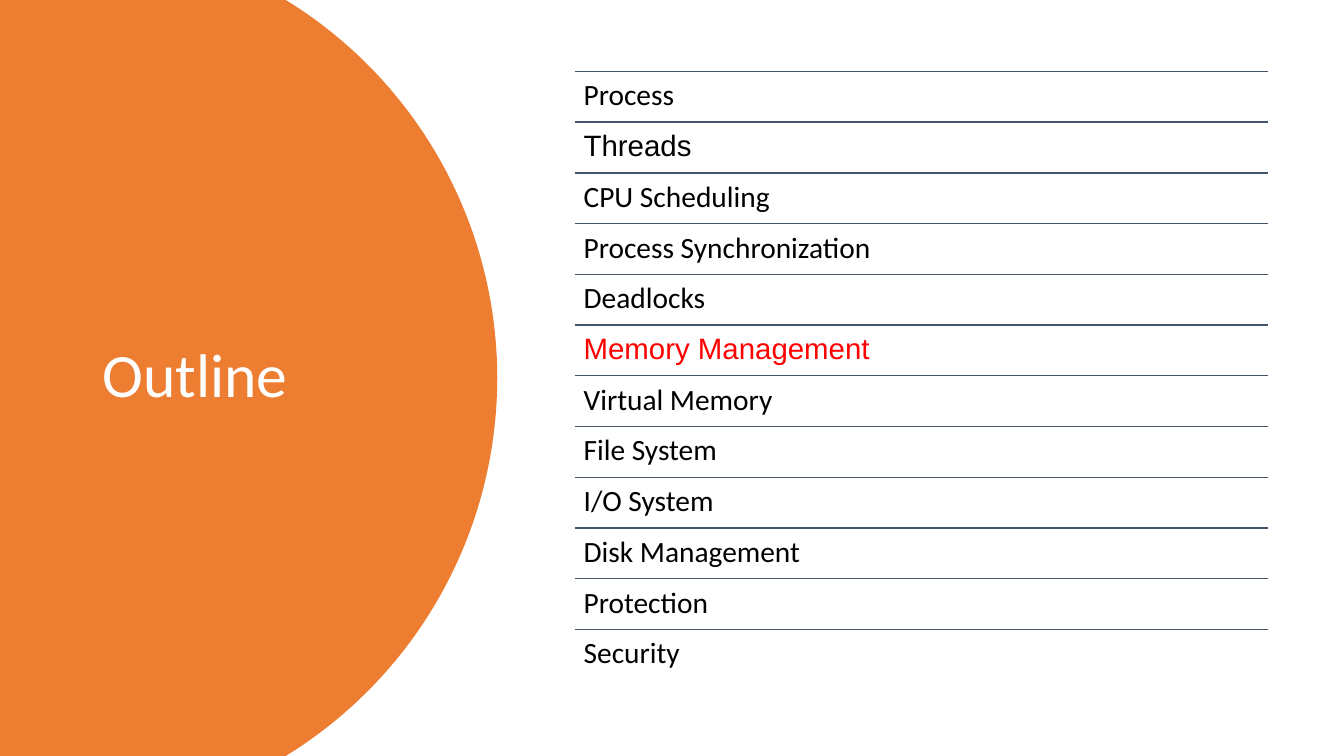
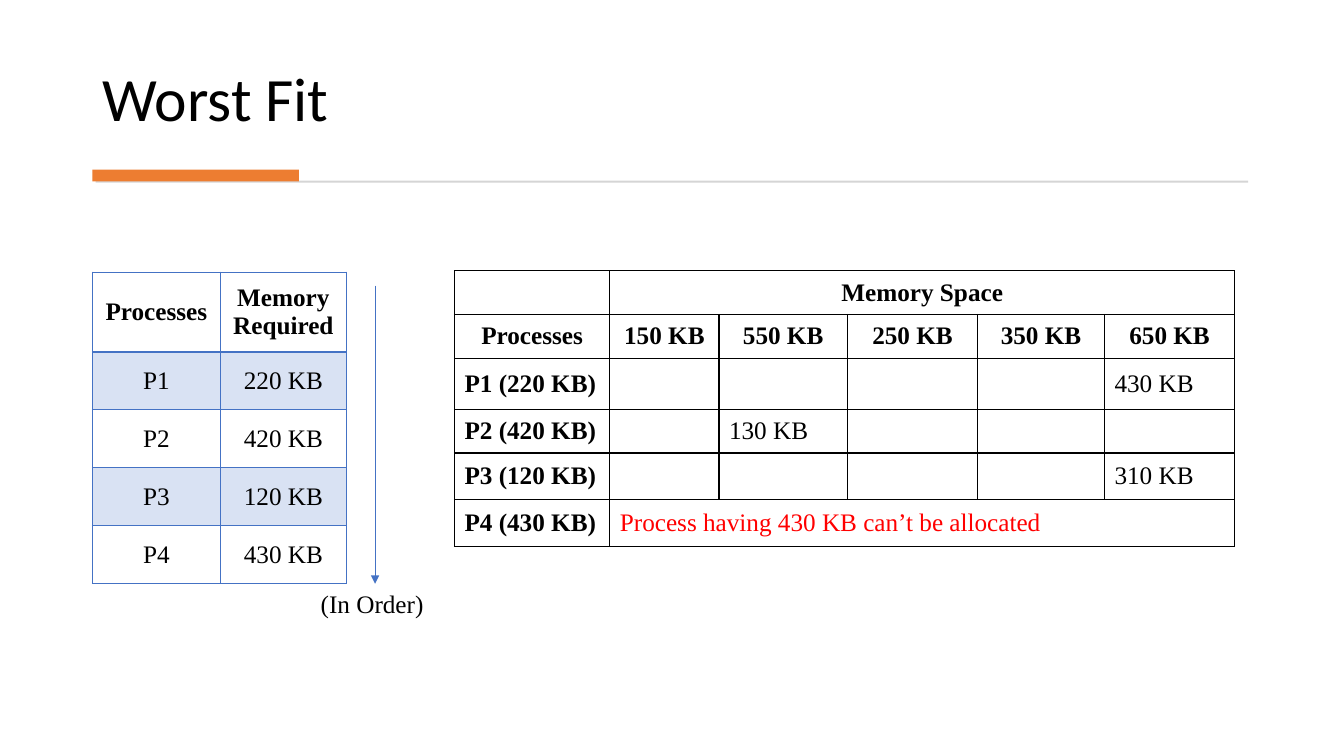
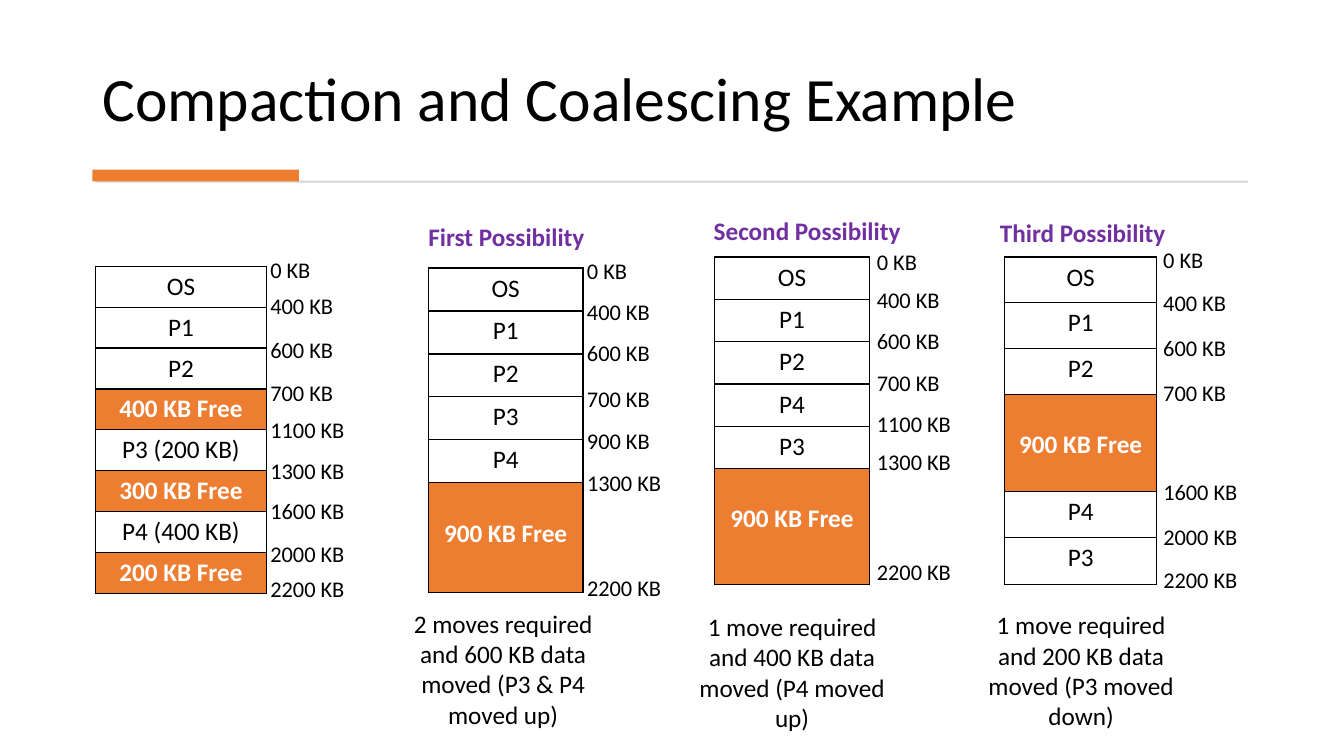
import dataclasses
import math

import lxml.etree
import pptx
import pptx.dml.color
import pptx.enum.shapes
import pptx.enum.text
import pptx.oxml.ns
import pptx.util

ALIGN = pptx.enum.text.PP_ALIGN
ANCHOR = pptx.enum.text.MSO_ANCHOR
AUTO_SIZE = pptx.enum.text.MSO_AUTO_SIZE
SHAPE = pptx.enum.shapes.MSO_SHAPE
CONNECTOR = pptx.enum.shapes.MSO_CONNECTOR

# The slide is a grid of square cells
WIDTH, HEIGHT = pptx.util.Inches(13.33), pptx.util.Inches(7.5)
COLUMNS, ROWS = 160, 90
TITLE_LAYOUT = 5


@dataclasses.dataclass(frozen=True)
class Theme:
    accent: str = "ED7D31"
    blue: str = "4472C4"
    slate: str = "44546A"
    purple: str = "7030A0"
    red: str = "FF0000"
    grey: str = "D5D5D5"
    black: str = "000000"
    white: str = "FFFFFF"
    sans: str = "Calibri"
    plain: str = "Arial"
    serif: str = "Times New Roman"
    title_size: int = 44
    list_size: int = 21
    body_size: int = 18
    label_size: int = 16
    band_opacity: int = 20


THEME = Theme()


# Grid and format helpers
def across(columns):
    return pptx.util.Emu(round(WIDTH * columns / COLUMNS))


def down(rows):
    return pptx.util.Emu(round(HEIGHT * rows / ROWS))


def place(left, top, width, height):
    return across(left), down(top), across(width), down(height)


def colour(value):
    return pptx.dml.color.RGBColor.from_string(value)


def apply(target, formats):
    for name, value in formats.items():
        setattr(target, name, value)


def look(size=THEME.body_size, name=THEME.sans, ink=THEME.black, bold=False):
    return {"size": pptx.util.Pt(size), "name": name, "bold": bold, "ink": ink}


def write(frame, text, style, **formats):
    para = frame.paragraphs[0]
    apply(para, formats)
    span = para.add_run()
    span.text = text
    apply(span.font, {key: value for key, value in style.items() if key != "ink"})
    span.font.color.rgb = colour(style["ink"])


def child(parent, tag, **attributes):
    return lxml.etree.SubElement(parent, pptx.oxml.ns.qn(tag), attributes)


# Text, shapes and lines
def add_text(page, at, text, style, inset=None, **formats):
    box = page.shapes.add_textbox(*place(*at))
    apply(box.text_frame, {"word_wrap": True, "auto_size": AUTO_SIZE.NONE})
    if inset is not None:
        sides = ("left", "top", "right", "bottom")
        apply(box.text_frame, {f"margin_{side}": inset for side in sides})
    write(box.text_frame, text, style, **formats)
    return box


def paint(shape, fill):
    shape.shadow.inherit = False
    shape.fill.solid()
    shape.fill.fore_color.rgb = colour(fill)
    shape.line.fill.background()


def add_bar(page, at, fill):
    paint(page.shapes.add_shape(SHAPE.RECTANGLE, *place(*at)), fill)


def add_line(page, start, end, ink, weight):
    line = page.shapes.add_connector(
        CONNECTOR.STRAIGHT, across(start[0]), down(start[1]), across(end[0]), down(end[1]))
    line.line.color.rgb = colour(ink)
    line.line.width = pptx.util.Pt(weight)
    child(line._element.spPr, "a:effectLst")
    return line


def add_titled_page(deck, title, at=(11, 3.4, 138, 13.3), ink=THEME.black, anchor=ANCHOR.BOTTOM):
    page = deck.slides.add_slide(deck.slide_layouts[TITLE_LAYOUT])
    box = page.shapes.title
    apply(box, dict(zip(("left", "top", "width", "height"), place(*at))))
    apply(box.text_frame, {"word_wrap": True, "auto_size": AUTO_SIZE.NONE,
                           "vertical_anchor": anchor})
    write(box.text_frame, title, look(THEME.title_size, ink=ink),
          alignment=ALIGN.LEFT, line_spacing=0.9)
    return page


def add_ruled_page(deck, title):
    page = add_titled_page(deck, title)
    add_bar(page, (11.4, 21.5, 137.2, 0.24), THEME.grey)
    add_bar(page, (11, 20.2, 24.6, 1.4), THEME.accent)
    return page


# Tables
def add_grid(page, left, top, widths, heights):
    at = place(left, top, sum(widths), sum(heights))
    table = page.shapes.add_table(len(heights), len(widths), *at).table
    apply(table, {"first_row": False, "horz_banding": False})
    for column, width in zip(table.columns, widths):
        column.width = across(width)
    for row, height in zip(table.rows, heights):
        row.height = down(height)
    return table


def draw_borders(cell, ink, weights):
    properties = cell._tc.get_or_add_tcPr()
    for side in "LRTB":
        weight = pptx.util.Pt(weights.get(side, 1))
        edge = child(properties, f"a:ln{side}", w=str(weight))
        child(child(edge, "a:solidFill"), "a:srgbClr", val=ink)


def fill_cell(cell, fill=None, opacity=100):
    if fill is None:
        cell.fill.background()
        return
    cell.fill.solid()
    cell.fill.fore_color.rgb = colour(fill)
    if opacity < 100:
        solid = cell._tc.tcPr.find(pptx.oxml.ns.qn("a:solidFill"))
        child(solid[0], "a:alpha", val=str(opacity * 1000))


def add_process_table(page):
    entries = [("Processes", "Memory Required"), ("P1", "220 KB"), ("P2", "420 KB"),
               ("P3", "120 KB"), ("P4", "430 KB")]
    table = add_grid(page, 11, 32.4, [15.24, 15], [9.5] + [6.9] * 4)
    header_rule = {0: {"B": 2}, 1: {"T": 2}}
    for row, line in enumerate(entries):
        for column, text in enumerate(line):
            cell = table.cell(row, column)
            draw_borders(cell, THEME.blue, header_rule.get(row, {}))
            fill_cell(cell, THEME.blue if row % 2 else None, THEME.band_opacity)
            cell.vertical_anchor = ANCHOR.MIDDLE
            write(cell.text_frame, text, look(name=THEME.serif, bold=row == 0),
                  alignment=ALIGN.CENTER)


def add_memory_table(page):
    entries = [
        ("", "Memory Space", "", "", "", ""),
        ("Processes", "150 KB", "550 KB", "250 KB", "350 KB", "650 KB"),
        ("P1 (220 KB)", "", "", "", "", "430 KB"),
        ("P2 (420 KB)", "", "130 KB", "", "", ""),
        ("P3 (120 KB)", "", "", "", "", "310 KB"),
        ("P4 (430 KB)", "Process having 430 KB can’t be allocated", "", "", "", ""),
    ]
    table = add_grid(page, 54.1, 32.25, [18.5, 13, 15.3, 15.5, 15.1, 15.5],
                     [5.2, 5.2, 6.1, 5.2, 5.55, 5.55])
    last = len(entries) - 1
    for row, line in enumerate(entries):
        for column, text in enumerate(line):
            cell = table.cell(row, column)
            draw_borders(cell, THEME.black, {})
            fill_cell(cell)
            cell.vertical_anchor = ANCHOR.MIDDLE
            if text:
                heading = row < 2
                ink = THEME.red if row == last and column else THEME.black
                write(cell.text_frame, text,
                      look(name=THEME.serif, ink=ink, bold=heading or column == 0),
                      alignment=ALIGN.CENTER if heading else ALIGN.LEFT)
    for row in (0, last):
        table.cell(row, 1).merge(table.cell(row, 5))


# Memory stacks: blocks, addresses, heading and caption
def add_stack(page, left, top, width, blocks, heights):
    table = add_grid(page, left, top, [width], heights)
    for row, (text, height) in enumerate(zip(blocks, heights)):
        cell = table.cell(row, 0)
        free = text.endswith("Free")
        draw_borders(cell, THEME.black, {})
        fill_cell(cell, THEME.accent if free else None)
        if height > 10:
            cell.margin_top = down(4.2)
        write(cell.text_frame, text,
              look(ink=THEME.white if free else THEME.black, bold=free),
              alignment=ALIGN.CENTER)


def add_addresses(page, left, marks):
    for address, top in marks.items():
        width = 12.1 if address >= 1000 else 10.3
        add_text(page, (left, top, width, 4.4), f"{address} KB", look(THEME.label_size))


def add_possibility(page, heading, heading_at, caption, caption_at):
    add_text(page, (*heading_at, 27.4, 4.8), heading,
             look(ink=THEME.purple, bold=True), alignment=ALIGN.CENTER)
    add_text(page, (*caption_at, 27.4, 15.7), caption, look(), alignment=ALIGN.CENTER)


# Slides
def add_outline(deck):
    page = add_titled_page(deck, "Outline", (11, 8.4, 38.8, 73.1), THEME.white, ANCHOR.MIDDLE)

    # Circle segment that meets the slide's top and bottom edges
    radius, tip, middle = 52.8, 59.2, ROWS / 2
    reach, steps = math.asin(middle / radius), 80
    angles = [reach * (2 * step / steps - 1) for step in range(steps + 1)]
    arc = [(across(tip - radius + radius * math.cos(angle)),
            down(middle + radius * math.sin(angle))) for angle in angles]
    builder = page.shapes.build_freeform(0, 0)
    builder.add_line_segments(arc + [(0, HEIGHT)], close=True)
    segment = builder.convert_to_shape()
    paint(segment, THEME.accent)
    page.shapes.title._element.addprevious(segment._element)

    topics = ["Process", "Threads", "CPU Scheduling", "Process Synchronization", "Deadlocks",
              "Memory Management", "Virtual Memory", "File System", "I/O System",
              "Disk Management", "Protection", "Security"]
    current = "Memory Management"
    left, top, width, pitch = 68.4, 8.5, 82.6, 6.04
    for index, topic in enumerate(topics):
        y = top + index * pitch
        add_line(page, (left, y), (left + width, y), THEME.slate, 1)
        style = look(THEME.list_size,
                     THEME.plain if topic in ("Threads", current) else THEME.sans,
                     THEME.red if topic == current else THEME.black)
        add_text(page, (left, y, width, pitch), topic, style, across(1.08), line_spacing=0.9)


def add_worst_fit(deck):
    page = add_ruled_page(deck, "Worst Fit")
    add_process_table(page)
    add_memory_table(page)
    order = add_text(page, (37, 69.5, 15.3, 4.8), "(In Order)", look(name=THEME.serif))
    arrow = add_line(page, (44.65, 34), (44.65, 69.5), THEME.blue, 0.5)
    arrow.end_connect(order, 0)
    child(arrow.line._get_or_add_ln(), "a:tailEnd", type="triangle")


def add_compaction(deck):
    page = add_ruled_page(deck, "Compaction and Coalescing Example")

    # Starting state
    add_stack(page, 11.4, 31.7, 20.3,
              ["OS", "P1", "P2", "400 KB Free", "P3 (200 KB)", "300 KB Free",
               "P4 (400 KB)", "200 KB Free"], [4.86] * 8)
    add_addresses(page, 31, {0: 29.9, 400: 34.2, 600: 39.4, 700: 44.5, 1100: 49,
                             1300: 53.8, 1600: 58.6, 2000: 63.7, 2200: 67.9})

    # First possibility
    add_stack(page, 51, 31.9, 18.4, ["OS", "P1", "P2", "P3", "P4", "900 KB Free"],
              [5.12] * 5 + [13.08])
    add_addresses(page, 68.7, {0: 30, 400: 34.9, 600: 39.8, 700: 45.2, 900: 50.2,
                               1300: 55.3, 2200: 67.7})
    add_possibility(page, "First Possibility", (46.6, 25.7),
                    "2 moves required and 600 KB data moved (P3 & P4 moved up)", (46.2, 71.8))

    # Second possibility
    add_stack(page, 85.1, 30.6, 18.4, ["OS", "P1", "P2", "P4", "P3", "900 KB Free"],
              [5.04] * 5 + [13.8])
    add_addresses(page, 103.2, {0: 29, 400: 33.5, 600: 38.4, 700: 43.3, 1100: 48.2,
                                1300: 52.8, 2200: 65.9})
    add_possibility(page, "Second Possibility", (82.4, 25.1),
                    "1 move required and 400 KB data moved (P4 moved up)", (80.6, 72.2))

    # Third possibility
    add_stack(page, 119.6, 30.6, 18.1, ["OS", "P1", "P2", "900 KB Free", "P4", "P3"],
              [5.45] * 3 + [11.6, 5.45, 5.6])
    add_addresses(page, 137.3, {0: 28.7, 400: 33.8, 600: 39.2, 700: 44.6, 1600: 56.3,
                                2000: 61.7, 2200: 66.8})
    add_possibility(page, "Third Possibility", (115.2, 25.3),
                    "1 move required and 200 KB data moved (P3 moved down)", (115, 72))


def main():
    deck = pptx.Presentation()
    apply(deck, {"slide_width": WIDTH, "slide_height": HEIGHT})
    add_outline(deck)
    add_worst_fit(deck)
    add_compaction(deck)
    deck.save("out.pptx")


if __name__ == "__main__":
    main()
